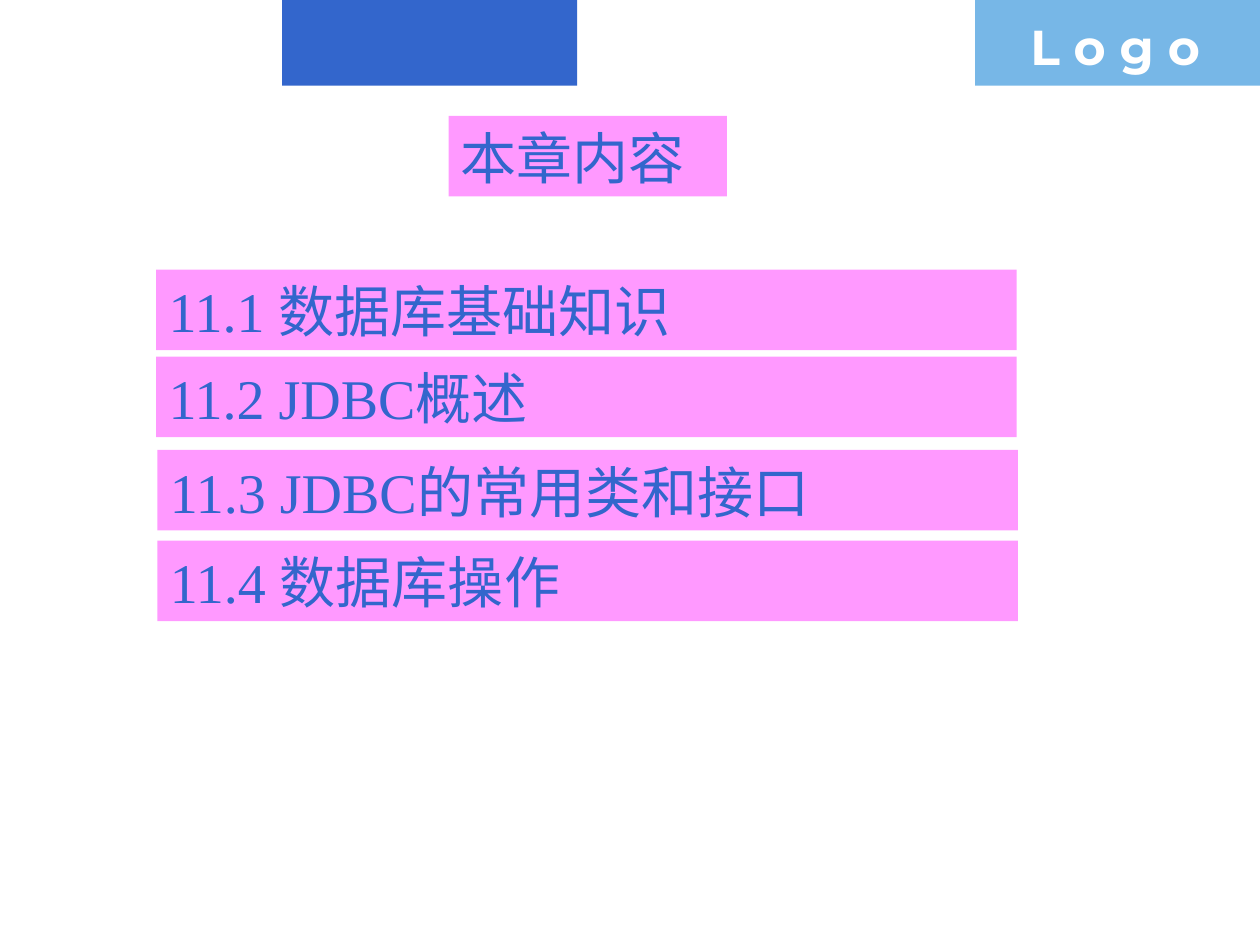
from pptx import Presentation
from pptx.dml.color import RGBColor
from pptx.enum.shapes import MSO_SHAPE
from pptx.enum.text import MSO_ANCHOR, PP_ALIGN
from pptx.util import Inches, Pt

COLORS = {"blue": "3366CC", "sky": "77B7E7", "pink": "FF99FF", "white": "FFFFFF"}
TOPICS = [
    (1.24, 2.14, "11.1 数据库基础知识"),
    (1.24, 2.83, "11.2 JDBC概述"),
    (1.25, 3.57, "11.3 JDBC的常用类和接口"),
    (1.25, 4.29, "11.4 数据库操作"),
]


def color(name):
    return RGBColor.from_string(COLORS[name])


def write(sp, text, size=32, font="Times New Roman", fill="blue", bold=False,
          anchor=MSO_ANCHOR.BOTTOM):
    tf = sp.text_frame
    tf.word_wrap = True
    tf.vertical_anchor = anchor
    p = tf.paragraphs[0]
    p.alignment = PP_ALIGN.LEFT
    r = p.add_run()
    r.text = text
    r.font.size = Pt(size)
    r.font.name = font
    r.font.bold = bold
    r.font.color.rgb = color(fill)


def add_block(s, x, y, w, h, fill):
    sp = s.shapes.add_shape(MSO_SHAPE.RECTANGLE, Inches(x), Inches(y), Inches(w), Inches(h))
    sp.shadow.inherit = False
    sp.fill.solid()
    sp.fill.fore_color.rgb = color(fill)
    sp.line.fill.background()
    return sp


def add_label(s, x, y, w, text):
    write(add_block(s, x, y, w, 0.64, "pink"), text)


def add_header(s):
    add_block(s, 2.24, 0, 2.34, 0.68, "blue")
    add_block(s, 7.74, 0, 2.26, 0.68, "sky")
    sp = s.shapes.add_textbox(Inches(8.08), Inches(0.08), Inches(1.93), Inches(0.57))
    write(sp, "L o g o", size=28, font="Montserrat", fill="white", bold=True,
          anchor=MSO_ANCHOR.TOP)


def main():
    prs = Presentation()
    prs.slide_width, prs.slide_height = Inches(10), Inches(7.5)
    s = prs.slides.add_slide(prs.slide_layouts[6])
    add_header(s)
    add_label(s, 3.56, 0.92, 2.21, "本章内容")
    for x, y, text in TOPICS:
        add_label(s, x, y, 6.83, text)
    prs.save("out.pptx")


if __name__ == "__main__":
    main()
